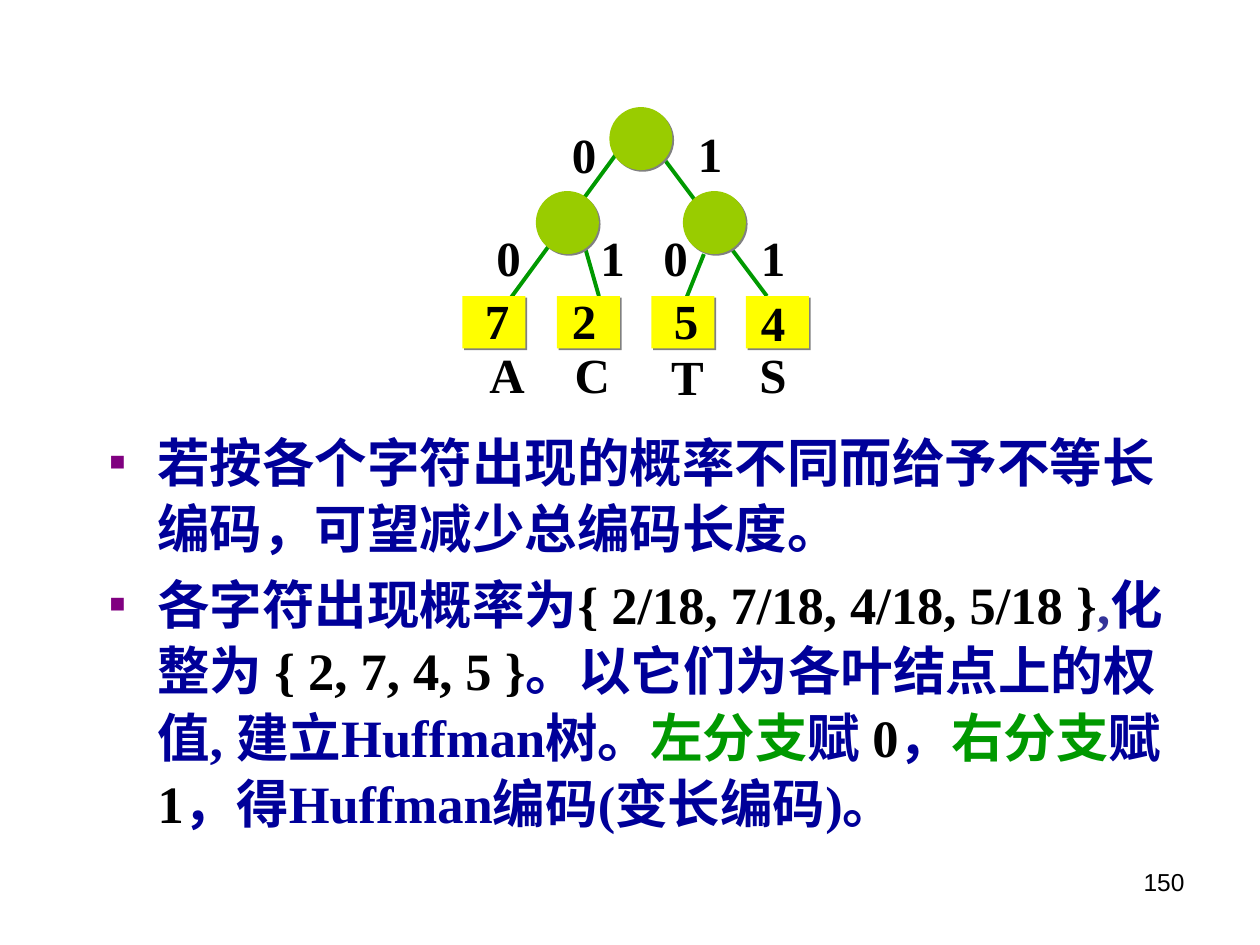
from lxml.etree import SubElement
from pptx import Presentation
from pptx.dml.color import RGBColor
from pptx.enum.shapes import MSO_CONNECTOR as Link, MSO_SHAPE as Shape
from pptx.enum.text import MSO_ANCHOR as Anchor, MSO_AUTO_SIZE as Fit, PP_ALIGN as Align
from pptx.oxml.ns import qn
from pptx.util import Inches, Pt

BLACK = RGBColor(0x00, 0x00, 0x00)
NAVY = RGBColor(0x00, 0x00, 0x99)
SLATE = RGBColor(0x33, 0x33, 0x99)
GREEN = RGBColor(0x00, 0x99, 0x00)
LIME = RGBColor(0x99, 0xCC, 0x00)
YELLOW = RGBColor(0xFF, 0xFF, 0x00)
PURPLE = RGBColor(0x80, 0x00, 0x80)
GREY = RGBColor(0x80, 0x80, 0x80)

SERIF = {"name": "Times New Roman", "bold": True}
MARK = SERIF | {"size": Pt(28)}
BODY = SERIF | {"size": Pt(30)}
PAGE = {"name": "Arial", "size": Pt(14)}

# The tree stands on a grid of twelve cells to the inch
LEFT, TOP, CELL = 3.67, 0.85, 1 / 12
NODES = [(14, 0), (7, 8), (21, 8)]
EDGES = [(23, 14, 21, 19), (17, 2, 29, 18), (11, 11, 13, 18), (15, 4, 4, 19)]
LEAVES = [(9 * i, 18) for i in range(4)]
# Centres of the labels: weights, branch bits, letters
LABELS = [
    ("7", 3.3, 20.3), ("2", 11.6, 20.3), ("5", 21.3, 20.3), ("4", 29.6, 20.5),
    ("0", 11.6, 4.5), ("1", 23.6, 4.4),
    ("0", 4.4, 14.3), ("1", 14.3, 14.3), ("0", 20.3, 14.3), ("1", 29.6, 14.3),
    ("A", 3.8, 25.4), ("C", 11.9, 25.4), ("T", 21.1, 25.6), ("S", 29.5, 25.4),
]
POINTS = [
    [("若按各个字符出现的概率不同而给予不等长编码，可望减少总编码长度。", NAVY)],
    [("各字符出现概率为", NAVY), ("{ 2/18, 7/18, 4/18, 5/18 }", BLACK),
     (",", SLATE), ("化整为 ", NAVY), ("{ 2, 7, 4, 5 }", BLACK),
     ("。以它们为各叶结点上的权值, 建立Huffman树。", NAVY),
     ("左分支", GREEN), ("赋 ", NAVY), ("0", BLACK), ("，", NAVY),
     ("右分支", GREEN), ("赋 ", NAVY), ("1", BLACK),
     ("，得Huffman编码(变长编码)。", NAVY)],
]


def spot(col, row):
    return Inches(LEFT + col * CELL), Inches(TOP + row * CELL)


def span(cells):
    return Inches(cells * CELL)


def add_run(para, text, look, color):
    run = para.add_run()
    run.text = text
    for key, value in look.items():
        setattr(run.font, key, value)
    run.font.color.rgb = color


def add_edge(slide, col, row, end_col, end_row):
    line = slide.shapes.add_connector(
        Link.STRAIGHT, *spot(col, row), *spot(end_col, end_row))
    line.line.color.rgb = GREEN
    line.line.width = Pt(2.25)
    SubElement(line._element.spPr, qn("a:effectLst"))


def add_block(slide, kind, place, size, color):
    block = slide.shapes.add_shape(kind, *spot(*place), *map(span, size))
    block.fill.solid()
    block.fill.fore_color.rgb = color
    block.line.fill.background()
    block.shadow.inherit = False
    # Hard grey shadow to the lower right
    effects = block._element.spPr.find(qn("a:effectLst"))
    shade = SubElement(effects, qn("a:outerShdw"), dist=str(Pt(1.4)),
                       dir="2700000", algn="ctr", rotWithShape="0")
    SubElement(shade, qn("a:srgbClr"), val=str(GREY))


def add_text(slide, box, text, look, align, anchor, wrap):
    frame = slide.shapes.add_textbox(*box).text_frame
    frame.word_wrap = wrap
    frame.vertical_anchor = anchor
    para = frame.paragraphs[0]
    para.alignment = align
    add_run(para, text, look, BLACK)


def add_label(slide, text, col, row):
    wide, high = 4.8, 6.8
    box = *spot(col - wide / 2, row - high / 2), span(wide), span(high)
    add_text(slide, box, text, MARK, Align.CENTER, Anchor.MIDDLE, False)


def set_bullet(para):
    props = para._p.get_or_add_pPr()
    props.set("marL", str(Inches(0.38)))
    props.set("indent", str(Inches(-0.38)))
    tint = SubElement(props, qn("a:buClr"))
    SubElement(tint, qn("a:srgbClr"), val=str(PURPLE))
    SubElement(props, qn("a:buSzPct"), val="50000")
    SubElement(props, qn("a:buChar"), char="■")


def fill_body(body):
    body.left, body.top = Inches(0.77), Inches(3.34)
    body.width, body.height = Inches(8.83), Inches(3.33)
    frame = body.text_frame
    frame.word_wrap = True
    frame.auto_size = Fit.NONE
    for i, parts in enumerate(POINTS):
        para = frame.add_paragraph() if i else frame.paragraphs[0]
        set_bullet(para)
        para.line_spacing = 1.05
        para.space_before = Pt(5.6 if i else 0)
        for text, color in parts:
            add_run(para, text, BODY, color)


def main():
    deck = Presentation()
    deck.slide_width, deck.slide_height = Inches(10), Inches(7.5)
    slide = deck.slides.add_slide(deck.slide_layouts[1])
    title = slide.shapes.title._element
    title.getparent().remove(title)

    # Bullet points
    fill_body(slide.placeholders[1])

    # Huffman tree
    for edge in EDGES:
        add_edge(slide, *edge)
    for place in NODES:
        add_block(slide, Shape.OVAL, place, (6, 6), LIME)
    for place in LEAVES:
        add_block(slide, Shape.RECTANGLE, place, (6, 5), YELLOW)
    for label in LABELS:
        add_label(slide, *label)

    # Page number
    box = Inches(7.17), Inches(6.83), Inches(2.33), Inches(0.52)
    add_text(slide, box, "150", PAGE, Align.RIGHT, Anchor.TOP, True)

    deck.save("out.pptx")


if __name__ == "__main__":
    main()
